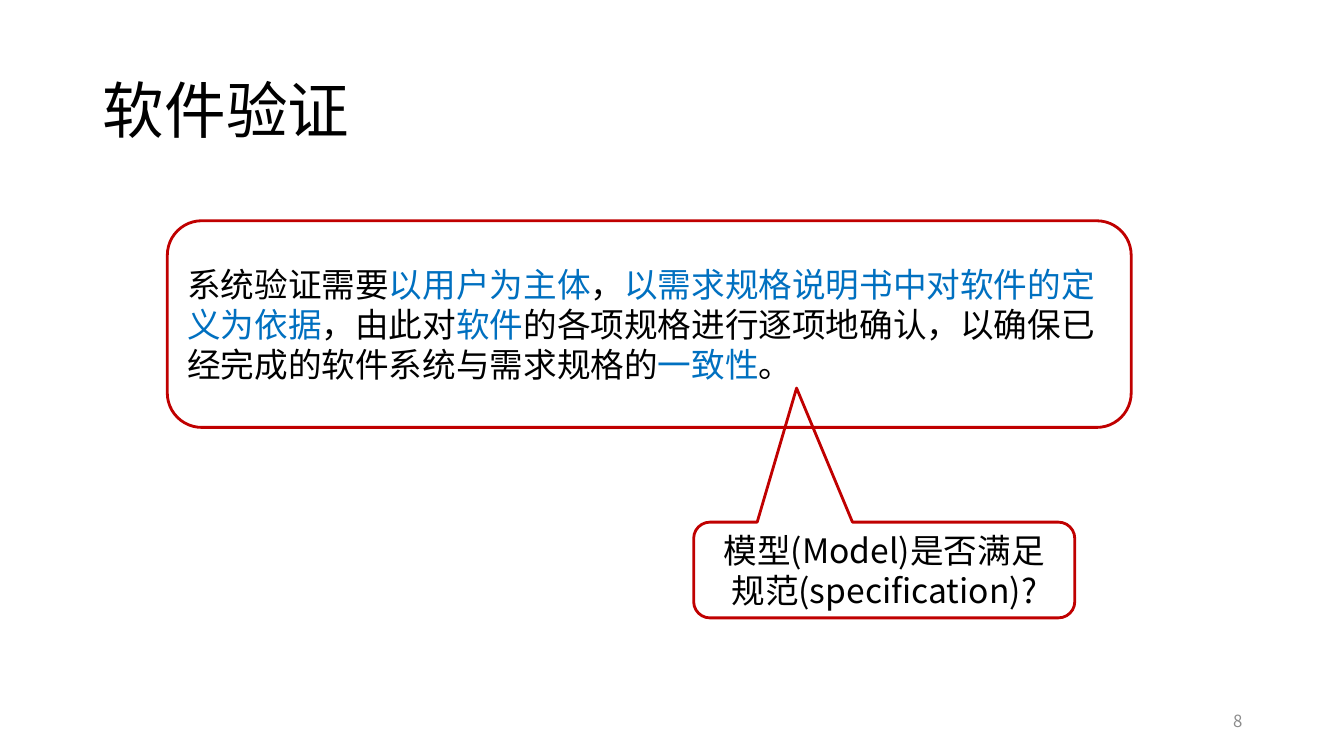
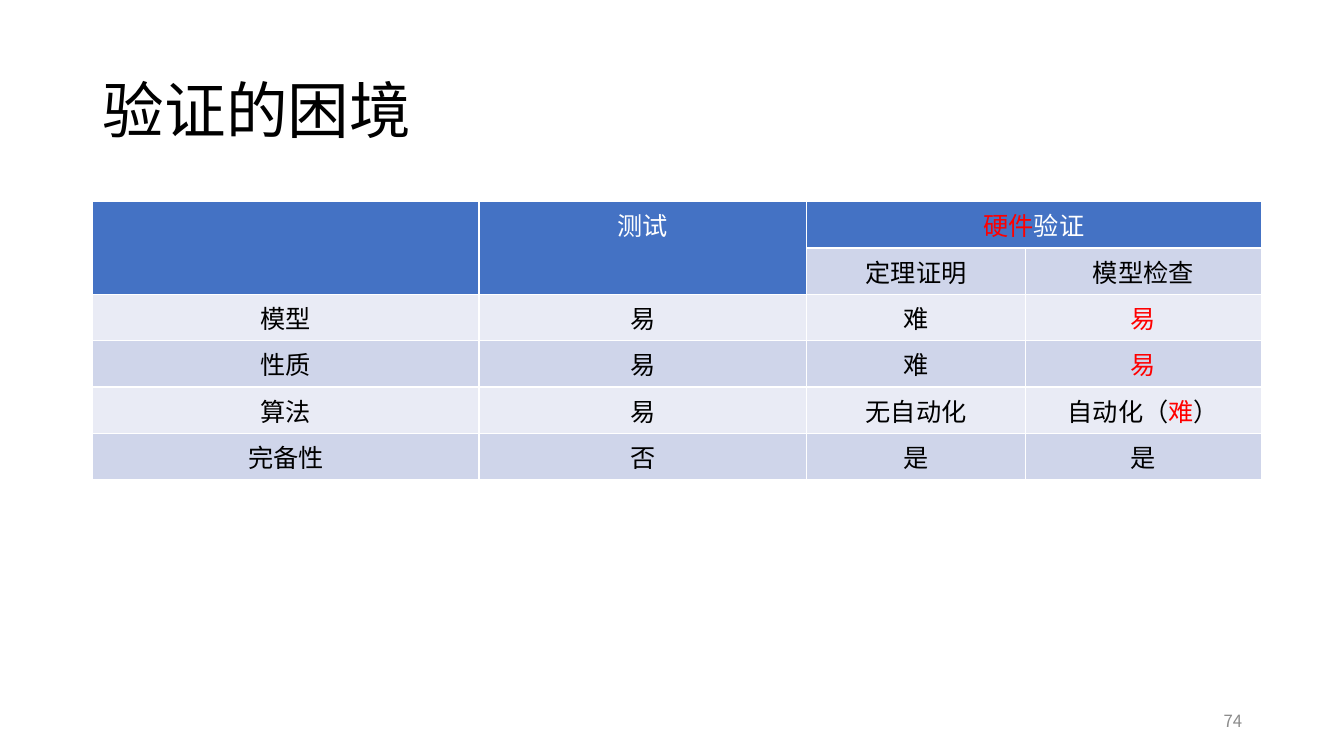
from lxml.etree import SubElement
from pptx import Presentation
from pptx.dml.color import RGBColor
from pptx.enum.shapes import MSO_SHAPE as SHAPE
from pptx.enum.text import MSO_ANCHOR as ANCHOR, PP_ALIGN as ALIGN
from pptx.oxml import parse_xml
from pptx.oxml.ns import nsdecls, qn
from pptx.util import Inches, Pt

FONT = "Noto Sans CJK SC"
BLACK, WHITE, GRAY = "000000", "FFFFFF", "8C8C8C"
RED, DARK_RED, BLUE = "FF0000", "C00000", "0070C0"
HEADER, BANDS = "4472C4", ("E9EBF5", "CFD5EA")


def rgb(value):
    return RGBColor.from_string(value)


def add_runs(p, runs, size, align=ALIGN.LEFT):
    p.alignment = align
    for text, color in runs:
        r = p.add_run()
        r.text = text
        r.font.size = Pt(size)
        r.font.color.rgb = rgb(color)
        r.font.name = FONT
        rPr = r._r.get_or_add_rPr()
        rPr.set("lang", "zh-CN")
        SubElement(rPr, qn("a:ea")).set("typeface", FONT)


def add_slide(prs, title, number):
    s = prs.slides.add_slide(prs.slide_layouts[5])
    sp = s.shapes.title
    sp.left, sp.top, sp.width, sp.height = map(Inches, (0.92, 0.4, 11.5, 1.45))
    sp.text_frame.vertical_anchor = ANCHOR.MIDDLE
    p = sp.text_frame.paragraphs[0]
    p.line_spacing = 0.9
    add_runs(p, [(title, BLACK)], 44)
    tf = s.shapes.add_textbox(*map(Inches, (9.42, 6.95, 3, 0.4))).text_frame
    tf.word_wrap = True
    tf.vertical_anchor = ANCHOR.MIDDLE
    add_runs(tf.paragraphs[0], [(number, GRAY)], 12, ALIGN.RIGHT)
    return s


def add_outline(s, kind, box, runs, align=ALIGN.LEFT, adjustments=()):
    sp = s.shapes.add_shape(kind, *map(Inches, box))
    sp.shadow.inherit = False
    sp.fill.background()
    sp.line.color.rgb = rgb(DARK_RED)
    sp.line.width = Pt(2)
    for i, value in enumerate(adjustments):
        sp.adjustments[i] = value
    tf = sp.text_frame
    tf.word_wrap = True
    tf.vertical_anchor = ANCHOR.MIDDLE
    add_runs(tf.paragraphs[0], runs, 24, align)


def style_cell(cell, fill):
    cell.fill.solid()
    cell.fill.fore_color.rgb = rgb(fill)
    tcPr = cell._tc.get_or_add_tcPr()
    for i, side in enumerate("LRTB"):
        tcPr.insert(i, parse_xml(
            f'<a:ln{side} {nsdecls("a")} w="12700"><a:solidFill>'
            f'<a:srgbClr val="{WHITE}"/></a:solidFill></a:ln{side}>'))


def add_grid(s, left, top, widths, row_height, rows, merges):
    frame = s.shapes.add_table(len(rows), len(widths), Inches(left), Inches(top),
                               Inches(sum(widths)), Inches(row_height * len(rows)))
    table = frame.table
    for column, width in zip(table.columns, widths):
        column.width = Inches(width)
    for i, row in enumerate(rows):
        table.rows[i].height = Inches(row_height)
        for j, runs in enumerate(row):
            cell = table.cell(i, j)
            is_header = i == 0 or (i == 1 and j < 2)
            style_cell(cell, HEADER if is_header else BANDS[i % 2])
            add_runs(cell.text_frame.paragraphs[0], runs, 18, ALIGN.CENTER)
    for first, last in merges:
        table.cell(*first).merge(table.cell(*last))


def verification_slide(prs):
    s = add_slide(prs, "软件验证", "8")
    add_outline(s, SHAPE.ROUNDED_RECTANGLE, (1.66, 2.19, 9.56, 2.05), [
        ("系统验证需要", BLACK),
        ("以用户为主体", BLUE),
        ("，", BLACK),
        ("以需求规格说明书中对软件的定义为依据", BLUE),
        ("，由此对", BLACK),
        ("软件", BLUE),
        ("的各项规格进行逐项地确认，以确保已经完成的软件系统与需求规格的", BLACK),
        ("一致性", BLUE),
        ("。", BLACK),
    ])
    add_outline(s, SHAPE.ROUNDED_RECTANGULAR_CALLOUT, (6.88, 5.18, 3.78, 0.95),
                [("模型(Model)是否满足规范(specification)?", BLACK)],
                ALIGN.CENTER, (-0.23, -1.9, 0.17))


def dilemma_slide(prs):
    s = add_slide(prs, "验证的困境", "74")
    easy = [("易", RED)]
    body = [
        ("模型", "易", "难", easy),
        ("性质", "易", "难", easy),
        ("算法", "易", "无自动化", [("自动化（", BLACK), ("难", RED), ("）", BLACK)]),
        ("完备性", "否", "是", "是"),
    ]
    rows = [
        [[], [("测试", WHITE)], [("硬件", RED), ("验证", WHITE)], []],
        [[], [], [("定理证明", BLACK)], [("模型检查", BLACK)]],
    ]
    rows += [[[(c, BLACK)] if isinstance(c, str) else c for c in row] for row in body]
    add_grid(s, 0.92, 2, (3.83, 3.25, 2.17, 2.34), 0.46, rows,
             [((0, 0), (1, 0)), ((0, 1), (1, 1)), ((0, 2), (0, 3))])


def main():
    prs = Presentation()
    prs.slide_width, prs.slide_height = Inches(13.33), Inches(7.5)
    verification_slide(prs)
    dilemma_slide(prs)
    prs.save("out.pptx")


if __name__ == "__main__":
    main()
